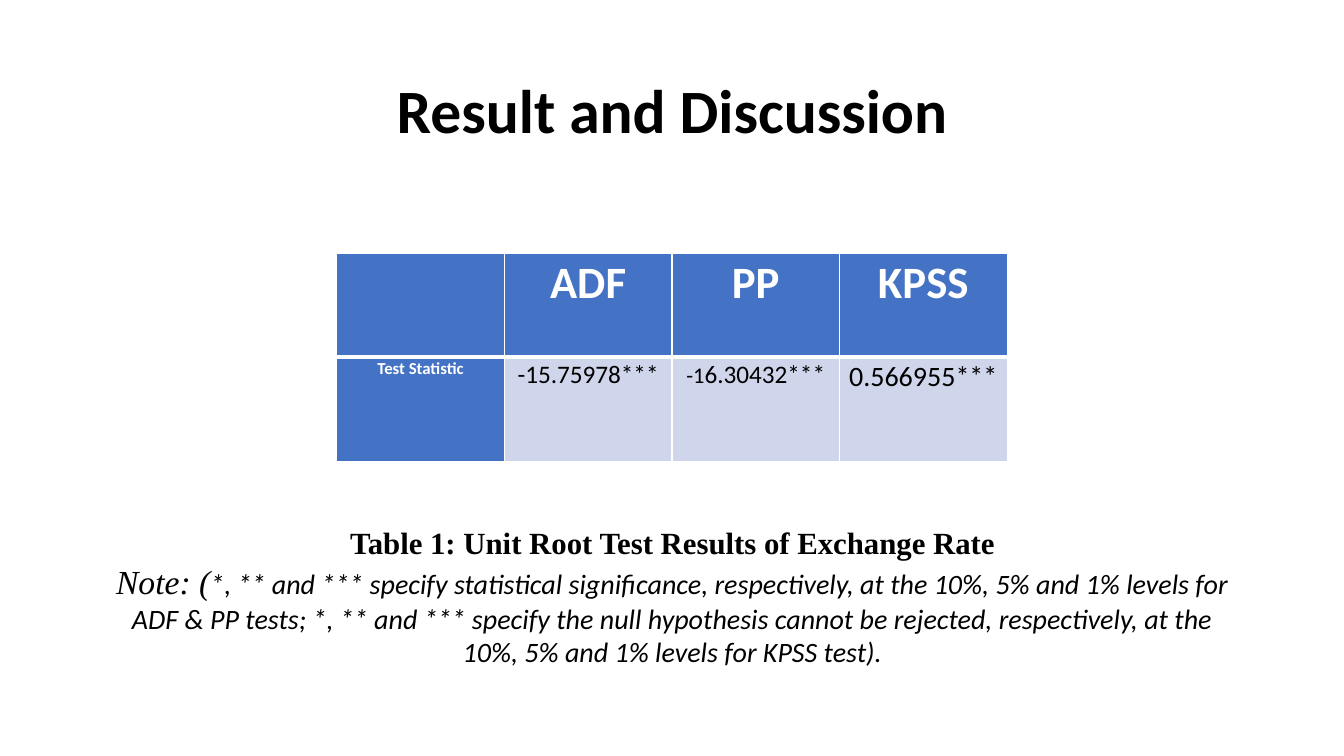
from dataclasses import dataclass

from pptx import Presentation
from pptx.dml.color import RGBColor as RGB
from pptx.enum.text import MSO_ANCHOR as ANCHOR, PP_ALIGN as ALIGN
from pptx.oxml import parse_xml
from pptx.oxml.ns import nsdecls
from pptx.util import Inches, Pt


@dataclass(frozen=True)
class Theme:
    sans: str = "Calibri"
    serif: str = "Times New Roman"
    black: str = "000000"
    white: str = "FFFFFF"
    blue: str = "4472C4"
    pale: str = "CFD5EA"
    title: int = 44
    header: int = 32
    note_lead: int = 24
    caption: int = 22
    large: int = 20
    medium: int = 18
    small: int = 16
    label: int = 12


class SlideBuilder:
    def __init__(self, slide, theme):
        self.s = slide
        self.theme = theme

    def run(self, p, text, size, font=None, color=None, bold=False, italic=False):
        r = p.add_run()
        r.text = text
        r.font.size = Pt(size)
        r.font.name = font or self.theme.sans
        r.font.color.rgb = RGB.from_string(color or self.theme.black)
        r.font.bold = bold
        r.font.italic = italic

    def text_box(self, left, top, width, height, anchor=ANCHOR.TOP):
        sp = self.s.shapes.add_textbox(
            Inches(left), Inches(top), Inches(width), Inches(height))
        tf = sp.text_frame
        tf.word_wrap = True
        tf.vertical_anchor = anchor
        tf.paragraphs[0].alignment = ALIGN.CENTER
        return tf

    def table(self, left, top, width, height, rows):
        tbl = self.s.shapes.add_table(
            len(rows), len(rows[0]), Inches(left), Inches(top),
            Inches(width), Inches(height)).table
        tbl.horz_banding = False
        for i, row in enumerate(rows):
            for j, runs in enumerate(row):
                self.cell(tbl.cell(i, j), runs, i == 0, j == 0)

    def cell(self, cell, runs, in_header, in_label):
        strong = in_header or in_label
        cell.margin_left = cell.margin_right = Inches(0.07)
        cell.margin_top = cell.margin_bottom = 0
        self.borders(cell, 1 if in_header else 3, 3 if in_header else 1)
        cell.fill.solid()
        cell.fill.fore_color.rgb = RGB.from_string(
            self.theme.blue if strong else self.theme.pale)
        p = cell.text_frame.paragraphs[0]
        p.alignment = ALIGN.CENTER
        p.line_spacing = 1.06
        for text, size in runs:
            self.run(p, text, size, bold=strong,
                     color=self.theme.white if strong else self.theme.black)

    def borders(self, cell, top, bottom):
        props = cell._tc.get_or_add_tcPr()
        for side, width in (("L", 1), ("R", 1), ("T", top), ("B", bottom)):
            props.append(parse_xml(
                f'<a:ln{side} {nsdecls("a")} w="{Pt(width)}"><a:solidFill>'
                f'<a:srgbClr val="{self.theme.white}"/></a:solidFill></a:ln{side}>'))


def main():
    prs = Presentation()
    prs.slide_width, prs.slide_height = Inches(13.33), Inches(7.5)
    theme = Theme()
    b = SlideBuilder(prs.slides.add_slide(prs.slide_layouts[6]), theme)

    p = b.text_box(0.92, 0.4, 11.5, 1.45, ANCHOR.MIDDLE).paragraphs[0]
    p.line_spacing = 0.9
    b.run(p, "Result and Discussion", theme.title, bold=True)

    b.table(3.34, 2.51, 6.65, 2.07, [
        [[]] + [[(name, theme.header)] for name in ("ADF", "PP", "KPSS")],
        [[("Test Statistic", theme.label)],
         [("-15.75978***", theme.medium)],
         [("-1", theme.small), ("6.30432***", theme.medium)],
         [("0.566955***", theme.large)]],
    ])

    tf = b.text_box(0.92, 5.15, 11.5, 1.61)
    b.run(tf.paragraphs[0], "Table 1: Unit Root Test Results of Exchange Rate",
          theme.caption, theme.serif, bold=True)
    p = tf.add_paragraph()
    p.alignment = ALIGN.CENTER
    b.run(p, "Note: (", theme.note_lead, theme.serif, italic=True)
    b.run(p, "*, ** and *** specify statistical significance, respectively, "
             "at the 10%, 5% and 1% levels for ADF & PP tests; *, ** and *** "
             "specify the null hypothesis cannot be rejected, respectively, "
             "at the 10%, 5% and 1% levels for KPSS test).",
          theme.large, italic=True)

    prs.save("out.pptx")


if __name__ == "__main__":
    main()
